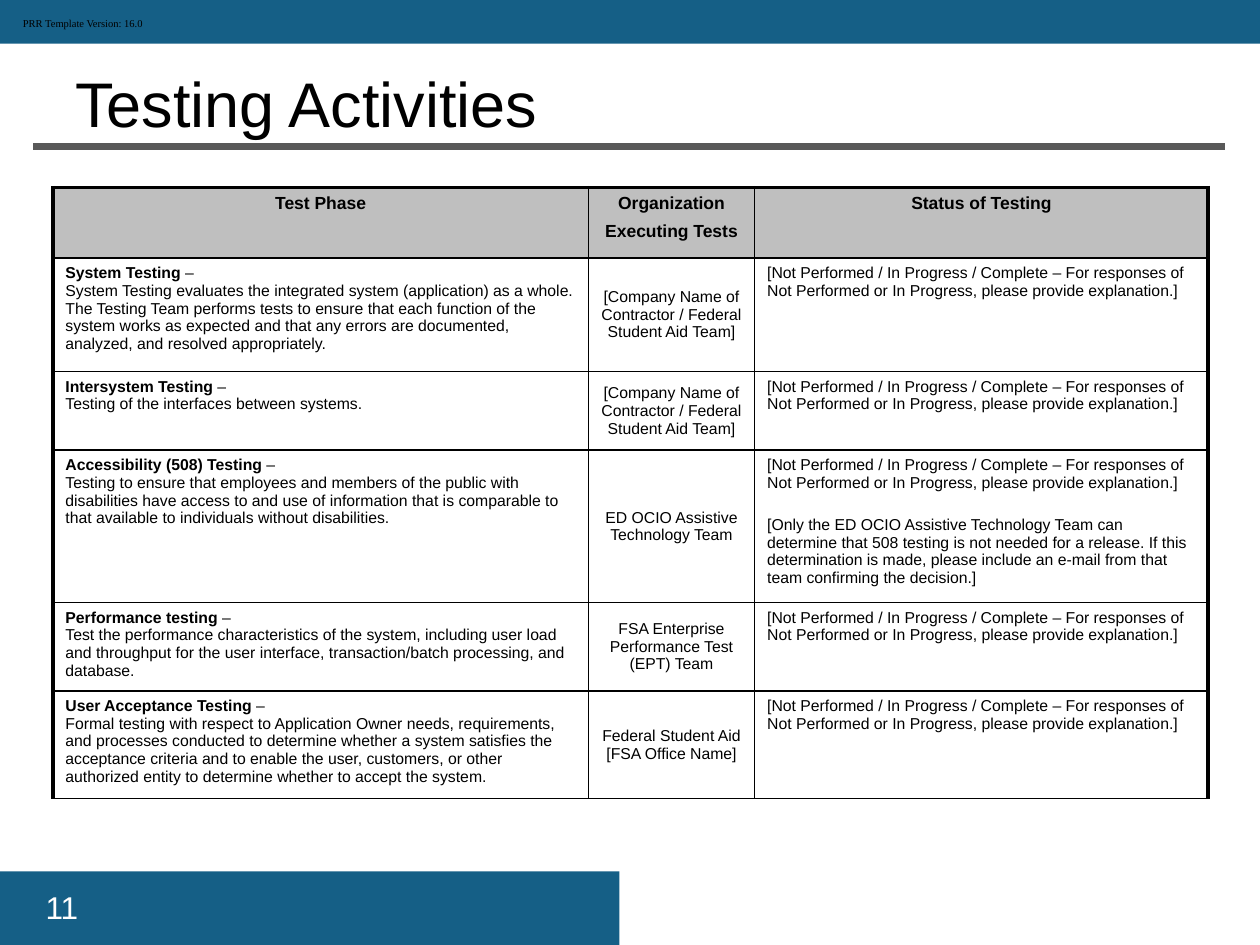
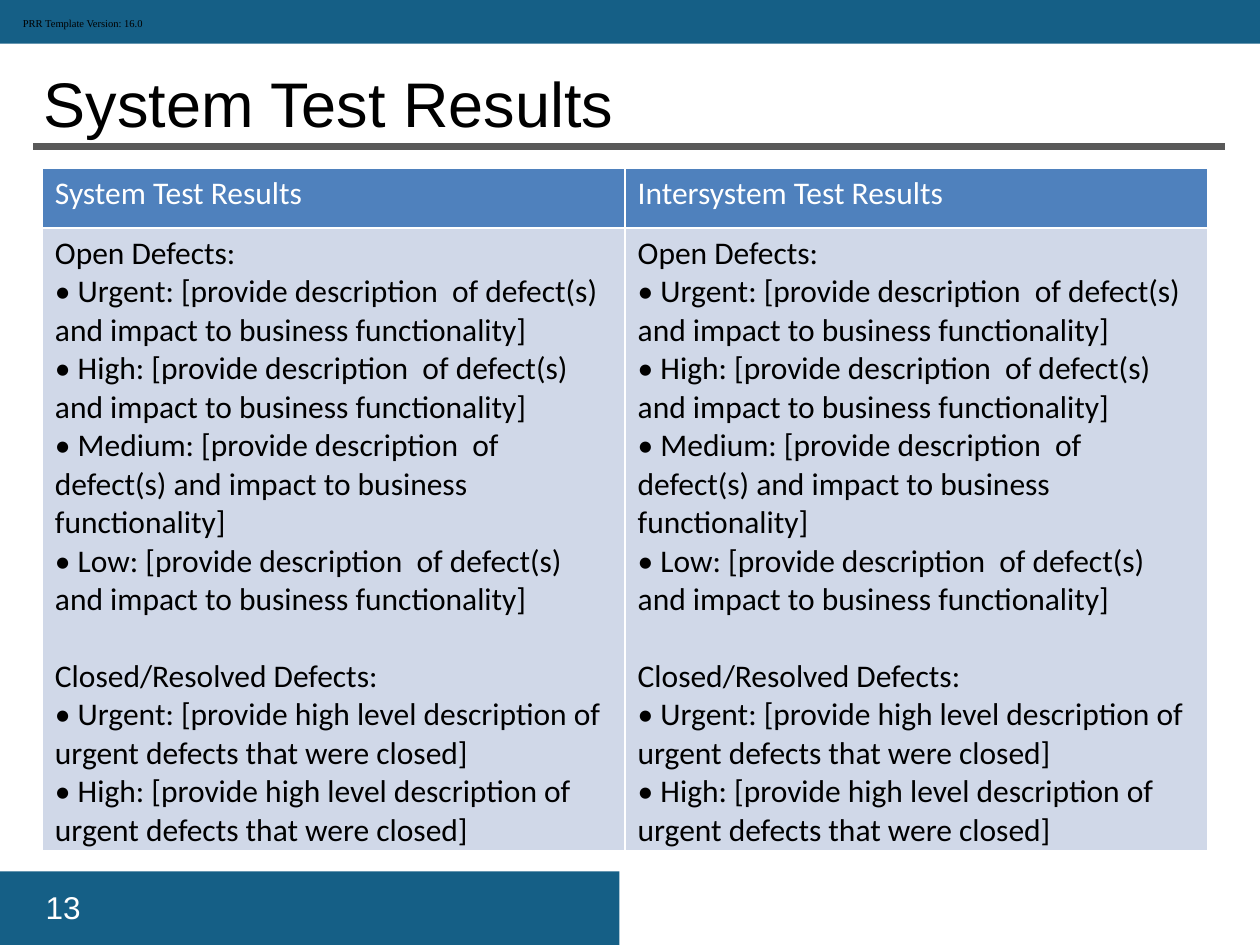
"""Build two test readiness slides: testing activities and system test results."""
from pptx import Presentation
from pptx.dml.color import RGBColor as RGB
from pptx.enum.shapes import MSO_CONNECTOR as Link, MSO_SHAPE as Shape
from pptx.enum.text import MSO_ANCHOR as Anchor, PP_ALIGN as Align
from pptx.oxml import parse_xml
from pptx.oxml.ns import nsdecls
from pptx.util import Pt

HUES = {"band": "155F86", "rule": "595959", "ink": "000000", "paper": "FFFFFF",
        "gray": "BFBFBF", "blue": "4F81BD", "pale": "D0D8E8"}
VERSION = "PRR Template Version: 16.0"
STATUS = ("[Not Performed / In Progress / Complete – For responses of "
          "Not Performed or In Progress, please provide explanation.]")
MAKER = "[Company Name of Contractor / Federal Student Aid Team]"

HEADS = [["Test Phase"], ["Organization", "Executing Tests"], ["Status of Testing"]]
PHASES = [
    ("System Testing",
     "System Testing evaluates the integrated system (application) as a whole. "
     "The Testing Team performs tests to ensure that each function of the system "
     "works as expected and that any errors are documented, analyzed, and "
     "resolved appropriately.", MAKER, [STATUS]),
    ("Intersystem Testing", "Testing of the interfaces between systems.",
     MAKER, [STATUS]),
    ("Accessibility (508) Testing",
     "Testing to ensure that employees and members of the public with "
     "disabilities have access to and use of information that is comparable to "
     "that available to individuals without disabilities.",
     "ED OCIO Assistive Technology Team",
     [STATUS,
      "[Only the ED OCIO Assistive Technology Team can determine that 508 testing "
      "is not needed for a release. If this determination is made, please include "
      "an e-mail from that team confirming the decision.]"]),
    ("Performance testing",
     "Test the performance characteristics of the system, including user load "
     "and throughput for the user interface, transaction/batch processing, and "
     "database.", "FSA Enterprise Performance Test (EPT) Team", [STATUS]),
    ("User Acceptance Testing",
     "Formal testing with respect to Application Owner needs, requirements, and "
     "processes conducted to determine whether a system satisfies the acceptance "
     "criteria and to enable the user, customers, or other authorized entity to "
     "determine whether to accept the system.",
     "Federal Student Aid [FSA Office Name]", [STATUS]),
]
RESULTS = ["System Test Results", "Intersystem Test Results"]
OPEN = ["Urgent", "High", "Medium", "Low"]
CLOSED = ["Urgent", "High"]
DEFECTS = (
    ["Open Defects:"]
    + [f"• {rank}: [provide description  of defect(s) and impact to business "
       "functionality]" for rank in OPEN]
    + ["Closed/Resolved Defects:"]
    + [f"• {rank}: [provide high level description of urgent defects that were "
       "closed]" for rank in CLOSED])


def hue(name):
    return RGB.from_string(HUES[name])


def style(para, size, color="ink", face="Arial", bold=False):
    font = para.font
    font.size, font.name, font.bold = Pt(size), face, bold
    font.color.rgb = hue(color)


def label(slide, box, text, size, color="ink", face="Arial", wrap=True,
          anchor=Anchor.TOP):
    frame = slide.shapes.add_textbox(*map(Pt, box)).text_frame
    frame.word_wrap, frame.vertical_anchor = wrap, anchor
    frame.text = text
    style(frame.paragraphs[0], size, color, face)


def band(slide, *box):
    bar = slide.shapes.add_shape(Shape.RECTANGLE, *map(Pt, box))
    bar.shadow.inherit = False
    bar.fill.solid()
    bar.fill.fore_color.rgb = hue("band")
    bar.line.fill.background()


def page(deck, number, title, left):
    slide = deck.slides.add_slide(deck.slide_layouts[6])
    band(slide, 0, 498, 354, 42)
    band(slide, -1, 0, 722, 25)
    rule = slide.shapes.add_connector(Link.STRAIGHT, Pt(19), Pt(83.5), Pt(700), Pt(83.5))
    rule.line.width = Pt(4)
    rule.line.color.rgb = hue("rule")
    rule._element.spPr.append(parse_xml(f"<a:effectLst {nsdecls('a')}/>"))
    label(slide, (19, 504, 158, 29), str(number), 18, "paper")
    label(slide, (left, 32.4, 709 - left, 51.1), title, 36, anchor=Anchor.BOTTOM)
    label(slide, (6, 6, 84, 14), VERSION, 6, face="Times New Roman", wrap=False)
    return slide


def grid(slide, left, top, cols, rows):
    frame = slide.shapes.add_table(len(rows), len(cols), Pt(left), Pt(top),
                                   Pt(sum(cols)), Pt(sum(rows)))
    table = frame.table
    table.first_row = table.horz_banding = False
    for col, width in zip(table.columns, cols):
        col.width = Pt(width)
    for row, height in zip(table.rows, rows):
        row.height = Pt(height)
    return table


def edge(cell, color, thick=""):
    props = cell._tc.get_or_add_tcPr()
    for side in "LRTB":
        width = Pt(2.25 if side in thick else 1)
        props.append(parse_xml(
            f'<a:ln{side} {nsdecls("a")} w="{width}"><a:solidFill>'
            f'<a:srgbClr val="{HUES[color]}"/></a:solidFill></a:ln{side}>'))


def fill(cell, color):
    cell.fill.solid()
    cell.fill.fore_color.rgb = hue(color)


def write(cell, lines, size, color="ink", face="Arial", bold=False, align=Align.LEFT):
    cell.text = "\n".join(lines)
    for para in cell.text_frame.paragraphs:
        style(para, size, color, face, bold)
        para.alignment = align
    return cell.text_frame.paragraphs


def phases(deck):
    slide = page(deck, 11, "Testing Activities", 36)
    table = grid(slide, 30.2, 107.2, [306, 95, 259.2],
                 [40.3, 64.8, 45, 87.1, 50.4, 61.2])
    body = [([name + " –", about], [team], notes) for name, about, team, notes in PHASES]
    for r, row in enumerate([HEADS] + body):
        for c, lines in enumerate(row):
            cell, head = table.cell(r, c), r == 0
            edge(cell, "ink", ("L", "", "R")[c] + ("T" if head else ""))
            fill(cell, "gray" if head else "paper")
            paras = write(cell, lines, 10 if head else 9, bold=head,
                          align=Align.CENTER if head or c == 1 else Align.LEFT)
            if head:
                for para in paras[1:]:
                    para.space_before = Pt(5)
            elif c == 0:
                run = paras[0].runs[0]
                run.text = PHASES[r - 1][0]
                run.font.bold = True
                paras[0].add_run().text = " –"
            elif c == 1:
                cell.vertical_anchor = Anchor.MIDDLE
            else:
                for para in paras[1:]:
                    para.space_before = Pt(14)


def results(deck):
    slide = page(deck, 13, RESULTS[0], 18)
    table = grid(slide, 24.2, 96, [333, 333], [34.4, 356])
    for c, name in enumerate(RESULTS):
        head, body = table.cell(0, c), table.cell(1, c)
        for cell, color in ((head, "blue"), (body, "pale")):
            edge(cell, "paper")
            fill(cell, color)
        write(head, [name], 18, "paper", "Calibri")
        paras = write(body, DEFECTS, 18, face="Calibri")
        paras[len(OPEN) + 1].space_before = Pt(22)


deck = Presentation()
deck.slide_width, deck.slide_height = Pt(720), Pt(540)
phases(deck)
results(deck)
deck.save("out.pptx")
